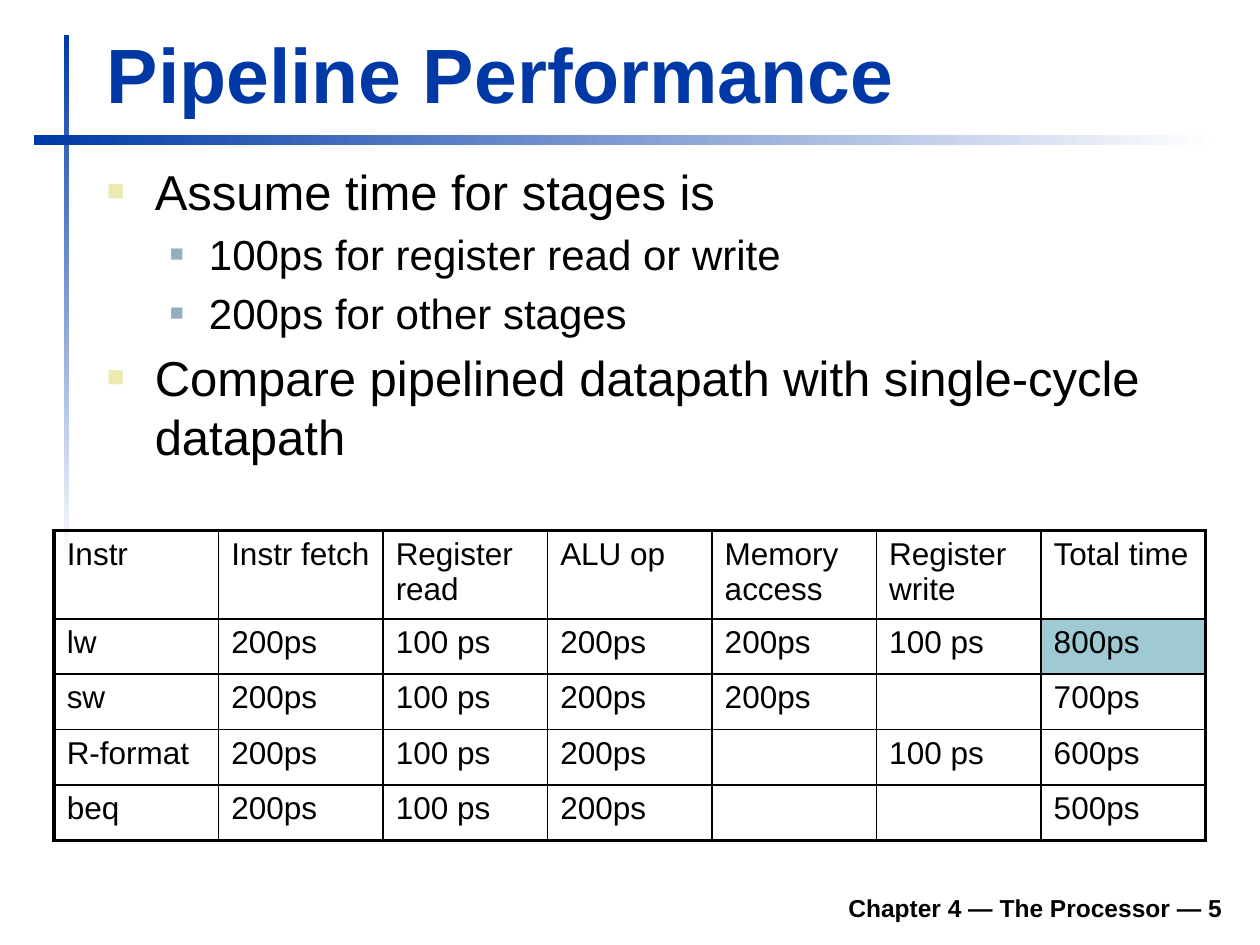
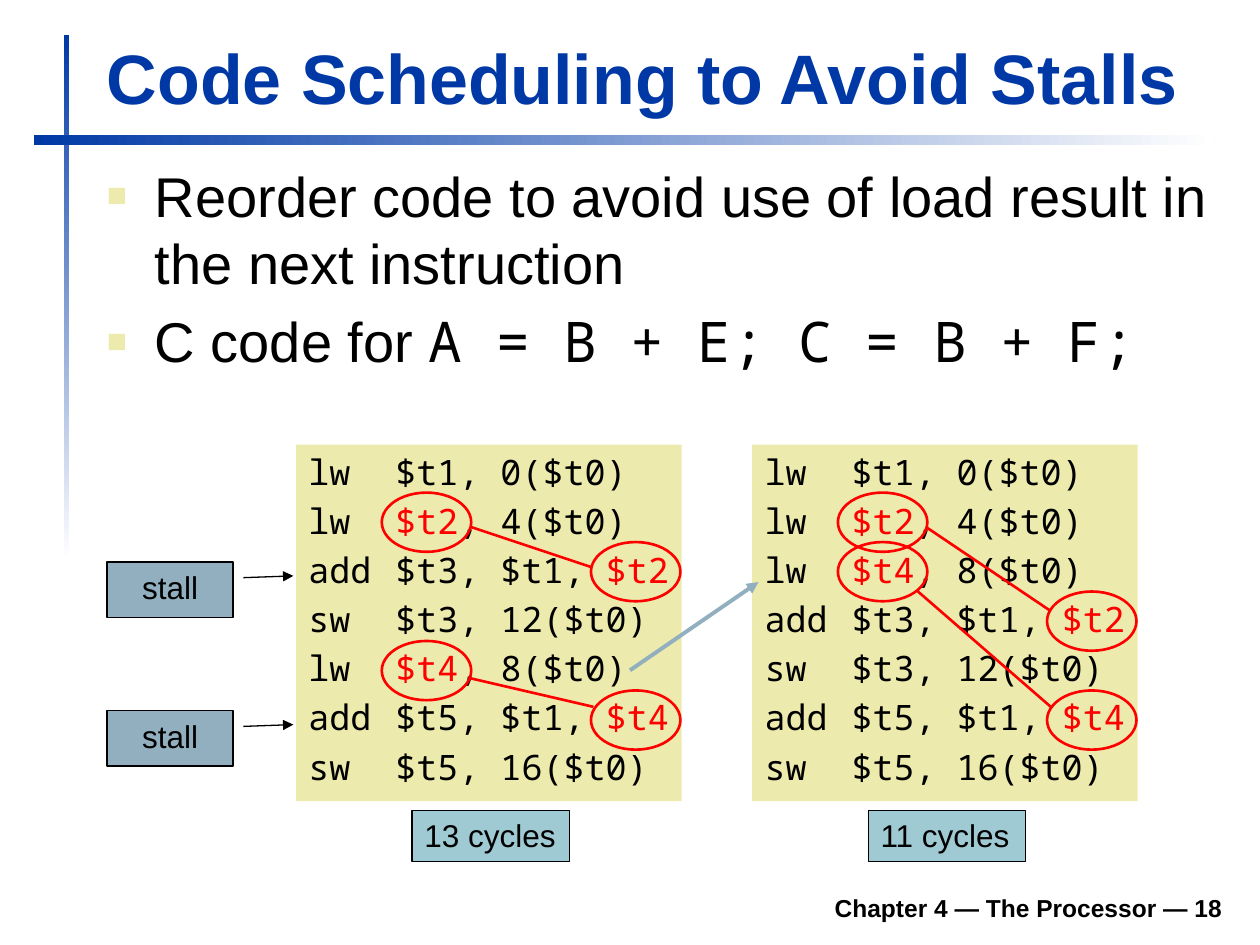
from lxml import etree
from pptx import Presentation
from pptx.dml.color import RGBColor
from pptx.enum import shapes, text
from pptx.oxml import ns
from pptx.util import Inches, Pt

COLORS = {"blue": "0039A6", "white": "FFFFFF", "black": "000000", "red": "FF0000",
          "sand": "ECEAAC", "steel": "91AFBF", "teal": "9FCAD3"}
SANS, MONO = "Arial", "Noto Sans Mono"
FOOTER = "Chapter 4 — The Processor — {}"

# Text between bars takes the accent format of its block.
PERFORMANCE = {
    "title": "Pipeline Performance", "title_size": 44, "number": 5, "body_height": 2.77,
    "sizes": (28, 24),
    "bullets": [(0, "Assume time for stages is"),
                (1, "100ps for register read or write"),
                (1, "200ps for other stages"),
                (0, "Compare pipelined datapath with single-cycle datapath")],
}
SCHEDULING = {
    "title": "Code Scheduling to Avoid Stalls", "title_size": 40, "number": 18,
    "body_height": 2.02, "sizes": (32, 28),
    "bullets": [(0, "Reorder code to avoid use of load result in the next instruction"),
                (0, "C code for |A = B + E; C = B + F;|")],
}
STAGE_TIMES = [
    ("Instr", "Instr fetch", "Register read", "ALU op", "Memory access", "Register write",
     "Total time"),
    ("lw", "200ps", "100 ps", "200ps", "200ps", "100 ps", "800ps"),
    ("sw", "200ps", "100 ps", "200ps", "200ps", "", "700ps"),
    ("R-format", "200ps", "100 ps", "200ps", "", "100 ps", "600ps"),
    ("beq", "200ps", "100 ps", "200ps", "", "", "500ps"),
]
SLOWEST_CELL = (1, 6)
LISTINGS = [
    {"left": 2.35, "cycles": "13 cycles", "code": [
        "lw\t$t1, 0($t0)", "lw\t|$t2|, 4($t0)", "add\t$t3, $t1, |$t2|", "sw\t$t3, 12($t0)",
        "lw\t|$t4|, 8($t0)", "add\t$t5, $t1, |$t4|", "sw\t$t5, 16($t0)"]},
    {"left": 5.97, "cycles": "11 cycles", "code": [
        "lw\t$t1, 0($t0)", "lw\t|$t2|, 4($t0)", "lw\t|$t4|, 8($t0)", "add\t$t3, $t1, |$t2|",
        "sw\t$t3, 12($t0)", "add\t$t5, $t1, |$t4|", "sw\t$t5, 16($t0)"]},
]
STALL_TOPS = (4.46, 5.64)
DEPENDENCES = [((3.73, 4.18), (4.69, 4.5)), ((3.72, 5.38), (4.71, 5.61)),
               ((7.36, 4.19), (8.34, 4.85)), ((7.28, 4.69), (8.34, 5.61))]
MOVED_LOAD = ((5, 5.32), (6.02, 4.62))

BULLET_LEVELS = [{"indent": 0.38, "hang": 0.38, "color": "sand", "percent": 60},
                 {"indent": 0.81, "hang": 0.31, "color": "steel", "percent": 55}]
CODE_TOP, TAB_STOP = 3.53, 0.69
FIRST_RING, LAST_RING = 3.91, 5.48
RING_OFFSETS, RING_SIZE = (0.68, 2.34), (0.71, 0.47)


def rgb(name):
    return RGBColor.from_string(COLORS[name])


def lengths(*values):
    return [Inches(value) for value in values]


def node(parent, tag, **attributes):
    child = etree.SubElement(parent, ns.qn(tag))
    for name, value in attributes.items():
        child.set(name, str(value))
    return child


def add_spans(para, content, size, accent=None, **changes):
    """Write the content, giving the parts between bars the accent format."""
    base = {"name": SANS, "size": Pt(size), "bold": False, "color": "black", **changes}
    for index, part in enumerate(content.split("|")):
        if not part:
            continue
        span = para.add_run()
        span.text = part
        look = {**base, **(accent or {})} if index % 2 else dict(base)
        span.font.color.rgb = rgb(look.pop("color"))
        for name, value in look.items():
            setattr(span.font, name, value)


def space_before(para):
    """Put a fifth of a line above the paragraph and return its properties."""
    props = para._p.get_or_add_pPr()
    node(node(props, "a:spcBef"), "a:spcPct", val=20000)
    return props


def next_para(frame, index):
    return frame.add_paragraph() if index else frame.paragraphs[0]


def add_box(page, place, content="", size=18, anchor="TOP", align="LEFT", **look):
    box = page.shapes.add_textbox(*lengths(*place))
    box.text_frame.word_wrap = True
    box.text_frame.vertical_anchor = text.MSO_ANCHOR[anchor]
    para = box.text_frame.paragraphs[0]
    para.alignment = text.PP_ALIGN[align]
    add_spans(para, content, size, **look)
    return box


def add_figure(page, kind, place, fill=None, line=None, width=0.75):
    figure = page.shapes.add_shape(shapes.MSO_SHAPE[kind], *lengths(*place))
    figure.shadow.inherit = False
    frame = figure.text_frame
    frame.vertical_anchor = text.MSO_ANCHOR.TOP
    frame.paragraphs[0].alignment = text.PP_ALIGN.LEFT
    if fill:
        figure.fill.solid()
        figure.fill.fore_color.rgb = rgb(fill)
    else:
        figure.fill.background()
    if line:
        figure.line.color.rgb = rgb(line)
        figure.line.width = Pt(width)
    else:
        figure.line.fill.background()
    return figure


def fit_to_text(figure):
    figure.text_frame.word_wrap = False
    figure.text_frame.auto_size = text.MSO_AUTO_SIZE.SHAPE_TO_FIT_TEXT


def add_arrowhead(figure):
    node(figure._element.spPr.find(ns.qn("a:ln")), "a:tailEnd", type="triangle")


def add_line(page, start, end, color, width):
    line = page.shapes.add_connector(shapes.MSO_CONNECTOR.STRAIGHT, *lengths(*start, *end))
    line.line.color.rgb = rgb(color)
    line.line.width = Pt(width)
    node(line._element.spPr, "a:effectLst")
    return line


def add_band(page, place, angle):
    band = add_figure(page, "RECTANGLE", place)
    band.fill.gradient()
    band.fill.gradient_angle = angle
    for stop, color, position in zip(band.fill.gradient_stops, ("blue", "white"), (0, 1)):
        stop.color.rgb = rgb(color)
        stop.position = position


def add_bullets(page, content):
    box = add_box(page, (0.75, 1.23, 9.05, content["body_height"]))
    for index, (level, line) in enumerate(content["bullets"]):
        para = next_para(box.text_frame, index)
        para.level = level
        style = BULLET_LEVELS[level]
        props = space_before(para)
        props.set("marL", str(Inches(style["indent"])))
        props.set("indent", str(-Inches(style["hang"])))
        node(node(props, "a:buClr"), "a:srgbClr", val=COLORS[style["color"]])
        node(props, "a:buSzPct", val=style["percent"] * 1000)
        node(props, "a:buFont", typeface=SANS)
        node(props, "a:buChar", char="■")
        add_spans(para, line, content["sizes"][level], {"name": MONO})


def add_page(deck, content):
    """Add a page with the shared bands, footer, title and bullets."""
    page = deck.slides.add_slide(deck.slide_layouts[6])
    add_band(page, (0.51, 0.28, 0.04, 4.17), 270)
    add_band(page, (0.27, 1.07, 9.37, 0.08), 0)
    add_box(page, (1.85, 6.98, 7.95, 0.39), FOOTER.format(content["number"]), 14,
            "BOTTOM", "RIGHT", bold=True)
    add_box(page, (0.75, 0.16, 9.03, 0.83), content["title"], content["title_size"],
            "BOTTOM", bold=True, color="blue")
    add_bullets(page, content)
    return page


def set_borders(cell, widths):
    props = cell._tc.get_or_add_tcPr()
    for side, width in widths.items():
        line = node(props, "a:ln" + side, w=Pt(width))
        node(node(line, "a:solidFill"), "a:srgbClr", val=COLORS["black"])


def add_time_table(page):
    last_row, last_column = len(STAGE_TIMES) - 1, len(STAGE_TIMES[0]) - 1
    table = page.shapes.add_table(last_row + 1, last_column + 1,
                                  *lengths(0.43, 4.21, 9.14, 2.42)).table
    for row_index, row in enumerate(STAGE_TIMES):
        table.rows[row_index].height = Inches(0.44 if row_index else 0.66)
        for column, value in enumerate(row):
            cell = table.cell(row_index, column)
            set_borders(cell, {
                "L": 1 if column else 2.25,
                "R": 2.25 if column == last_column else 1,
                "T": {0: 2.25, 1: 1.5}.get(row_index, 1),
                "B": {0: 1.5, last_row: 2.25}.get(row_index, 1)})
            if (row_index, column) == SLOWEST_CELL:
                cell.fill.solid()
                cell.fill.fore_color.rgb = rgb("teal")
            else:
                cell.fill.background()
            para = cell.text_frame.paragraphs[0]
            space_before(para)
            add_spans(para, value, 18)


def add_listing(page, left, code, cycles):
    panel = add_figure(page, "RECTANGLE", (left, CODE_TOP, 3.06, 2.83), "sand")
    fit_to_text(panel)
    for index, line in enumerate(code):
        para = next_para(panel.text_frame, index)
        para.alignment = text.PP_ALIGN.LEFT
        tabs = node(space_before(para), "a:tabLst")
        node(tabs, "a:tab", pos=Inches(TAB_STOP), algn="l")
        add_spans(para, line, 20, {"color": "red"}, name=MONO)
    label = add_figure(page, "RECTANGLE", (left + 0.92, 6.43, 1.25, 0.41), "teal", "black")
    fit_to_text(label)
    add_spans(label.text_frame.paragraphs[0], cycles, 18)


def add_rings(page, left, code):
    """Circle each marked register, as a load target or as a last operand."""
    pitch = (LAST_RING - FIRST_RING) / 4
    for index, line in enumerate(code):
        if "|" in line:
            offset = RING_OFFSETS[line.endswith("|")]
            top = FIRST_RING + (index - 1) * pitch
            add_figure(page, "OVAL", (left + offset, top, *RING_SIZE), line="red", width=1.5)


def add_stall(page, top):
    stall = add_figure(page, "LINE_CALLOUT_1", (0.85, top, 1, 0.44), "steel", "black")
    for index, value in enumerate((0.285, 1.083, 0.253, 1.479)):
        stall.adjustments[index] = value
    add_arrowhead(stall)
    para = stall.text_frame.paragraphs[0]
    para.alignment = text.PP_ALIGN.CENTER
    add_spans(para, "stall", 18)


def main():
    deck = Presentation()
    deck.slide_width, deck.slide_height = lengths(10, 7.5)
    add_time_table(add_page(deck, PERFORMANCE))

    page = add_page(deck, SCHEDULING)
    for listing in LISTINGS:
        add_listing(page, **listing)
    for top in STALL_TOPS:
        add_stall(page, top)
    add_arrowhead(add_line(page, *MOVED_LOAD, "steel", 2.25))
    for listing in LISTINGS:
        add_rings(page, listing["left"], listing["code"])
    for start, end in DEPENDENCES:
        add_line(page, start, end, "red", 1.5)
    deck.save("out.pptx")


if __name__ == "__main__":
    main()
